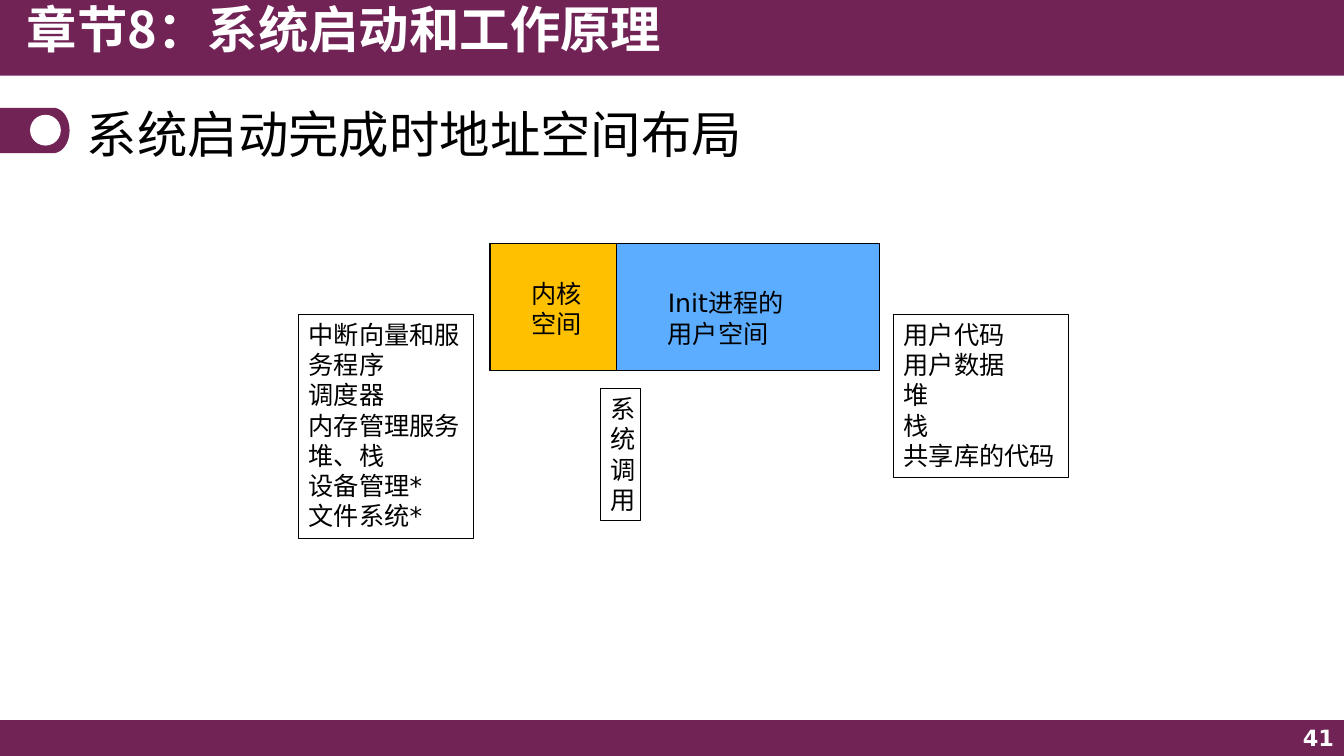
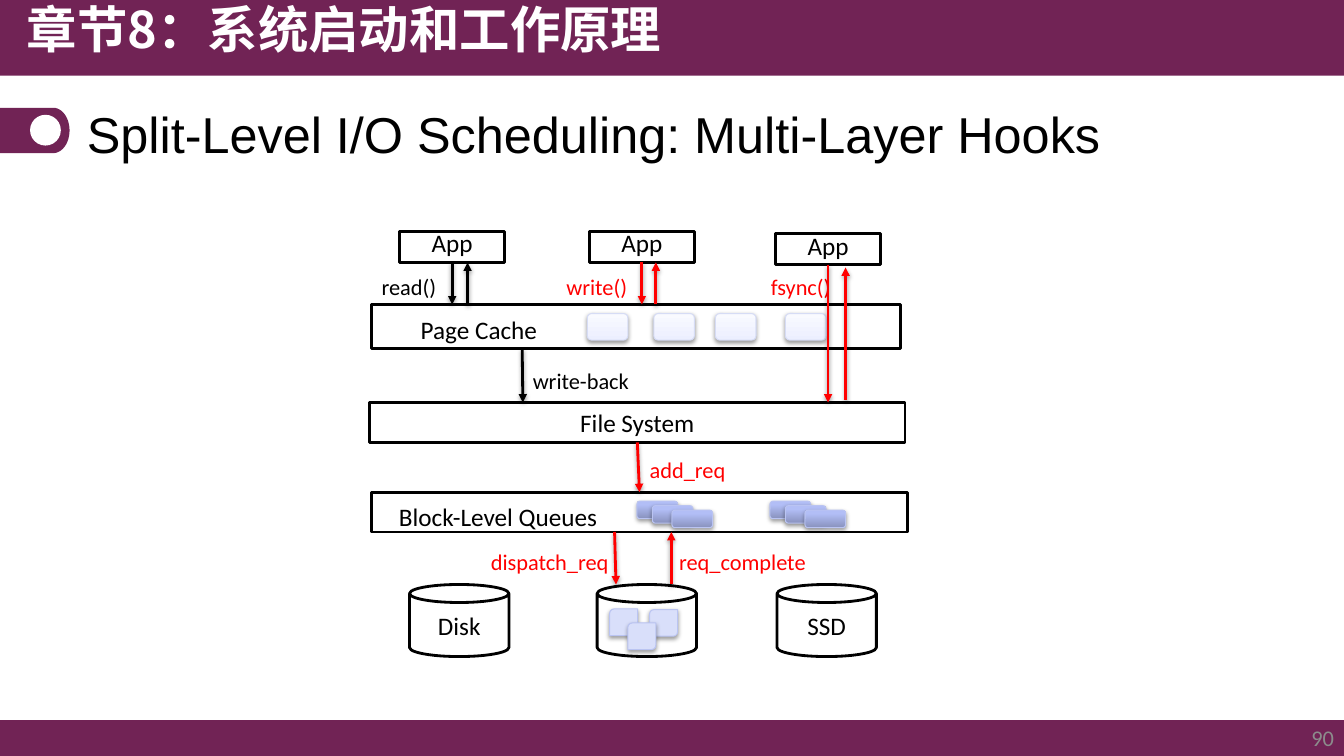
from copy import deepcopy
from math import cos, pi, sin

from lxml import etree
from pptx import Presentation
from pptx.dml.color import RGBColor
from pptx.enum.shapes import MSO_CONNECTOR, MSO_SHAPE
from pptx.enum.text import MSO_ANCHOR, PP_ALIGN
from pptx.oxml import parse_xml
from pptx.oxml.ns import nsdecls, qn
from pptx.util import Pt

RECT, ROUND, OVAL = MSO_SHAPE.RECTANGLE, MSO_SHAPE.ROUNDED_RECTANGLE, MSO_SHAPE.OVAL
CAN, TILE = MSO_SHAPE.CAN, MSO_SHAPE.ROUND_2_DIAG_RECTANGLE
STRAIGHT = MSO_CONNECTOR.STRAIGHT
TOP, MIDDLE = MSO_ANCHOR.TOP, MSO_ANCHOR.MIDDLE
LEFT, CENTER, RIGHT = PP_ALIGN.LEFT, PP_ALIGN.CENTER, PP_ALIGN.RIGHT
TOP_SIDE, BOTTOM_SIDE = 0, 2


class Theme:
    plum = RGBColor(0x71, 0x23, 0x55)
    white = RGBColor(0xFF, 0xFF, 0xFF)
    black = RGBColor(0x00, 0x00, 0x00)
    red = RGBColor(0xFF, 0x00, 0x00)
    gray = RGBColor(0x8C, 0x8C, 0x8C)
    blue = RGBColor(0x5C, 0xAD, 0xFF)
    amber = RGBColor(0xFF, 0xC0, 0x00)
    tile = RGBColor(0xD9, 0xDF, 0xFA)
    tile_edge = RGBColor(0xBA, 0xC4, 0xF2)
    cell_edge = RGBColor(0xD6, 0xDC, 0xF5)
    # Gradients: (position, colour) from bottom to top
    cell = [(0, RGBColor(0xEC, 0xEF, 0xFF)), (1, RGBColor(0xF9, 0xFA, 0xFF))]
    slab = [(0, RGBColor(0x89, 0x92, 0xBE)), (0.8, RGBColor(0xB2, 0xBE, 0xF6))]
    thin, thick = 0.75, 2
    chapter = {"name": "Noto Sans CJK SC", "size": Pt(36), "bold": True}
    title_chinese = {"name": "Noto Sans CJK SC", "size": Pt(36)}
    title_latin = {"name": "Arial", "size": Pt(36)}
    number_bold = {"name": "DejaVu Sans", "size": Pt(16), "bold": True}
    number_plain = {"name": "Calibri", "size": Pt(16)}
    memory = {"name": "DejaVu Sans", "size": Pt(18)}
    layer = {"name": "Calibri", "size": Pt(18)}
    call = {"name": "Calibri", "size": Pt(16)}


SOFT_SHADOW = parse_xml(
    f'<a:outerShdw {nsdecls("a")} blurRad="39370" dist="20320" dir="5400000" rotWithShape="0">'
    '<a:srgbClr val="000000"><a:alpha val="38000"/></a:srgbClr></a:outerShdw>')


def add_box(page, kind, box, fill=None, line=None, width=Theme.thin, shadow=False):
    """Add a preset shape; fill is a colour, a list of gradient stops or None."""
    shape = page.shapes.add_shape(kind, *map(Pt, box))
    shape.shadow.inherit = False
    if fill is None:
        shape.fill.background()
    elif isinstance(fill, list):
        shape.fill.gradient()
        shape.fill.gradient_angle = 90
        for stop, (position, color) in zip(shape.fill.gradient_stops, fill):
            stop.position = position
            stop.color.rgb = color
    else:
        shape.fill.solid()
        shape.fill.fore_color.rgb = fill
    if line is None:
        shape.line.fill.background()
    else:
        shape.line.color.rgb = line
        shape.line.width = Pt(width)
    if shadow:
        shape._element.spPr.find(qn("a:effectLst")).append(deepcopy(SOFT_SHADOW))
    return shape


def write_text(shape, lines, style, color=Theme.black, align=LEFT, **frame_format):
    """Write one paragraph per line into a shape or text box."""
    frame = shape.text_frame
    settings = {"word_wrap": True, "vertical_anchor": TOP, **frame_format}
    for name, value in settings.items():
        setattr(frame, name, value)
    for index, line in enumerate(lines):
        para = frame.add_paragraph() if index else frame.paragraphs[0]
        para.alignment = align
        span = para.add_run()
        span.text = line
        for name, value in style.items():
            setattr(span.font, name, value)
        span.font.color.rgb = color
        etree.SubElement(span._r.get_or_add_rPr(), qn("a:ea"), typeface=style["name"])


deck = Presentation()
deck.slide_width, deck.slide_height = Pt(960), Pt(540)

# Shared frame: bands, tab, chapter, title and page number
pages = []
for title, title_style, number, number_style, number_color in [
    ("系统启动完成时地址空间布局", Theme.title_chinese, "41", Theme.number_bold, Theme.white),
    ("Split-Level I/O Scheduling: Multi-Layer Hooks", Theme.title_latin,
     "90", Theme.number_plain, Theme.gray),
]:
    page = deck.slides.add_slide(deck.slide_layouts[6])
    pages.append(page)
    add_box(page, RECT, (0, 514.5, 960, 25.5), Theme.plum)
    add_box(page, RECT, (0, 0, 960, 54), Theme.plum)

    outline = page.shapes.build_freeform(0, Pt(77))
    angles = [pi * step / 24 - pi / 2 for step in range(25)]
    arc = [(Pt(38 + 11.7 * cos(a)), Pt(93.2 + 16.2 * sin(a))) for a in angles]
    outline.add_line_segments(arc + [(0, Pt(109.4))], close=True)
    tab = outline.convert_to_shape()
    tab.shadow.inherit = False
    tab.fill.solid()
    tab.fill.fore_color.rgb = Theme.plum
    tab.line.fill.background()
    add_box(page, OVAL, (21.5, 82, 22, 22), Theme.white)

    for box, text, style, color, align, anchor in [
        ((12, -5, 547, 55), "章节8：系统启动和工作原理", Theme.chapter, Theme.white, LEFT, TOP),
        ((744, 514, 216, 26), number, number_style, number_color, RIGHT, MIDDLE),
        ((55, 68.5, 850, 53), title, title_style, Theme.black, LEFT, MIDDLE),
    ]:
        write_text(page.shapes.add_textbox(*map(Pt, box)), [text], style, color, align,
                   vertical_anchor=anchor)

memory_page, hooks_page = pages

# Address space: user and kernel areas with their contents
for box, fill, lines, insets in [
    ((350, 174, 278, 90.5), Theme.blue, ["Init进程的", "用户空间"], (127, 31.5)),
    ((350, 174, 90.5, 90.5), Theme.amber, ["内核", "空间"], (29.5, 24.5)),
    ((213.5, 224.5, 125, 160), None,
     ["中断向量和服务程序", "调度器", "内存管理服务", "堆、栈", "设备管理*", "文件系统*"], (7.2, 3.6)),
    ((638.5, 224.5, 125, 116.5), None,
     ["用户代码", "用户数据", "堆", "栈", "共享库的代码"], (7.2, 3.6)),
    ((429, 277.5, 28.5, 94), None, ["系统调用"], (7.2, 3.6)),
]:
    area = add_box(memory_page, RECT, box, fill, Theme.black)
    write_text(area, lines, Theme.memory,
               margin_left=Pt(insets[0]), margin_top=Pt(insets[1]))

# I/O stack: layers, apps and devices
cache, file_system, queues = [
    add_box(hooks_page, RECT, box, Theme.white, Theme.black, Theme.thick)
    for box in [(265.5, 217.5, 378, 31.5), (264, 287.5, 382.5, 28.5), (265.5, 351.5, 382.5, 28.5)]
]
write_text(cache, ["Page Cache"], Theme.layer, margin_left=Pt(35), margin_top=Pt(7))
write_text(file_system, ["File System"], Theme.layer, align=CENTER)
write_text(queues, ["Block-Level Queues"], Theme.layer, margin_left=Pt(19.5), margin_top=Pt(6.5))

apps = []
for left, top in [(285.5, 165.5), (421, 165.5), (554, 167)]:
    app = add_box(hooks_page, RECT, (left, top, 75, 22), Theme.white, Theme.black, Theme.thick)
    write_text(app, ["App"], Theme.layer, align=CENTER, vertical_anchor=MIDDLE,
               margin_top=0, margin_bottom=Pt(6))
    apps.append(app)

for left, name in [(292.5, "Disk"), (426.5, ""), (555, "SSD")]:
    device = add_box(hooks_page, CAN, (left, 417.5, 71, 51.5),
                     Theme.white, Theme.black, Theme.thick)
    if name:
        write_text(device, [name], Theme.layer, align=CENTER, vertical_anchor=MIDDLE)

# Cached pages, queued requests and stored blocks
for left in (419.5, 467, 511, 561):
    add_box(hooks_page, ROUND, (left, 224, 29, 19), Theme.cell, Theme.cell_edge, shadow=True)
for left in (455, 550):
    for step, shift in enumerate((0, 11, 25)):
        add_box(hooks_page, ROUND, (left + shift, 358 + 3.2 * step, 29, 12.5),
                Theme.slab, Theme.tile_edge, shadow=True)
for left, top in [(435.5, 435), (464, 435.5), (448.5, 445)]:
    add_box(hooks_page, TILE, (left, top, 20, 19), Theme.tile, Theme.tile_edge, shadow=True)

# Hook names
for left, top, width, text, color in [
    (265.5, 191.5, 58, "read()", Theme.black),
    (397.5, 191.5, 65, "write()", Theme.red),
    (543.5, 191.5, 59, "fsync()", Theme.red),
    (373.5, 258.5, 95, "write-back", Theme.black),
    (457, 322.5, 74, "add_req", Theme.red),
    (343.5, 388, 107, "dispatch_req", Theme.red),
    (478, 388, 112, "req_complete", Theme.red),
]:
    label = hooks_page.shapes.add_textbox(Pt(left), Pt(top), Pt(width), Pt(26.5))
    write_text(label, [text], Theme.call, color)

# Arrows: start, end, colour, shape joined at its bottom, shape joined at its top
for start, end, color, source, target in [
    ((323, 187.5), (323, 217.5), Theme.black, apps[0], None),
    ((334, 217.5), (334, 187.5), Theme.black, None, None),
    ((458.5, 187.5), (458.5, 217.5), Theme.red, apps[1], None),
    ((468.5, 217.5), (468.5, 187.5), Theme.red, None, None),
    ((591.5, 189), (591.5, 287.5), Theme.red, apps[2], None),
    ((604, 285.5), (604, 191), Theme.red, None, None),
    ((373, 249), (373.5, 287.5), Theme.black, None, None),
    ((455.25, 316), (456.75, 351.5), Theme.red, file_system, queues),
    ((439, 380), (440, 417.5), Theme.red, None, None),
    ((479.5, 417.5), (479.5, 380), Theme.red, None, None),
]:
    arrow = hooks_page.shapes.add_connector(STRAIGHT, *map(Pt, start + end))
    if source is not None:
        arrow.begin_connect(source, BOTTOM_SIDE)
    if target is not None:
        arrow.end_connect(target, TOP_SIDE)
    arrow.line.color.rgb = color
    arrow.line.width = Pt(Theme.thick)
    etree.SubElement(arrow.line._get_or_add_ln(), qn("a:tailEnd"), type="triangle")
    effects = etree.SubElement(arrow._element.spPr, qn("a:effectLst"))
    effects.append(deepcopy(SOFT_SHADOW))

deck.save("out.pptx")
